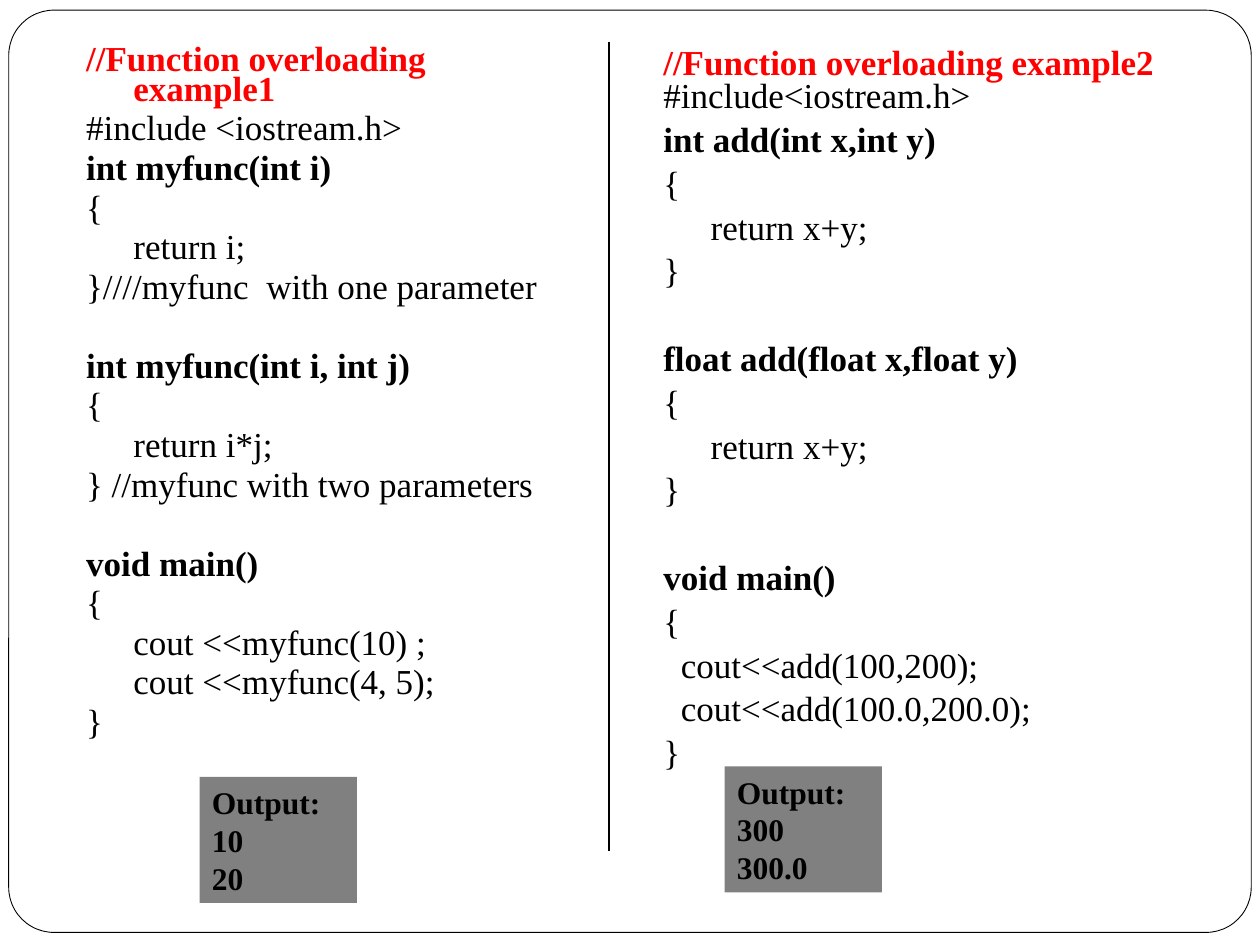
from dataclasses import dataclass

from lxml.etree import SubElement
from pptx import Presentation
from pptx.dml.color import RGBColor
from pptx.enum.shapes import MSO_CONNECTOR, MSO_SHAPE
from pptx.enum.text import MSO_ANCHOR, MSO_AUTO_SIZE, PP_ALIGN
from pptx.oxml.ns import qn
from pptx.util import Pt


@dataclass(frozen=True)
class Theme:
    font: str = "Times New Roman"
    code_size: int = 20
    output_size: int = 18
    black: RGBColor = RGBColor(0, 0, 0)
    red: RGBColor = RGBColor(255, 0, 0)
    gray: RGBColor = RGBColor(128, 128, 128)


theme = Theme()
SIGNATURES = ("int ", "float ", "void ")


def format_font(font, size, color, bold):
    font.name = theme.font
    font.size = Pt(size)
    font.color.rgb = color
    font.bold = bold


def write_code(text_frame, blocks, line_spacing, block_gap, include_gap):
    """Write a red heading and blocks of code, with a wider gap between blocks."""
    text_frame.word_wrap = True
    text_frame.auto_size = MSO_AUTO_SIZE.NONE
    text_frame.vertical_anchor = MSO_ANCHOR.TOP
    for block_index, block in enumerate(blocks):
        for line_index, line in enumerate(block):
            is_heading = block_index == 0 and line_index == 0
            paragraph = text_frame.paragraphs[0] if is_heading else text_frame.add_paragraph()
            paragraph.text = line

            # Hanging indent, which is also the stop for tabbed code
            properties = paragraph._p.get_or_add_pPr()
            properties.set("marL", str(Pt(27)))
            properties.set("indent", str(-Pt(27)))
            SubElement(properties, qn("a:buNone"))

            paragraph.alignment = PP_ALIGN.LEFT
            paragraph.line_spacing = line_spacing
            if is_heading:
                gap = 0
            elif line_index == 0:
                gap = block_gap
            elif block_index == 0 and line_index == 1:
                gap = include_gap
            else:
                gap = 5.8
            paragraph.space_before = Pt(gap)
            color = theme.red if is_heading else theme.black
            bold = is_heading or line.startswith(SIGNATURES)
            for run in paragraph.runs:
                format_font(run.font, theme.code_size, color, bold)


presentation = Presentation()
presentation.slide_width = Pt(720)
presentation.slide_height = Pt(540)
slide = presentation.slides.add_slide(presentation.slide_layouts.get_by_name("Title and Content"))
shapes = slide.shapes
title = shapes.title.element
title.getparent().remove(title)

# Rounded frame
frame = shapes.add_shape(MSO_SHAPE.ROUNDED_RECTANGLE, Pt(5), Pt(5.8), Pt(710), Pt(527))
frame.adjustments[0] = 0.049
frame.shadow.inherit = False
frame.fill.background()
frame.line.color.rgb = theme.black
frame.line.width = Pt(0.5)

# Left example
left_code = slide.placeholders[1]
left_code.left, left_code.top = Pt(42), Pt(24)
left_code.width, left_code.height = Pt(294), Pt(432)
left_blocks = [
    ["//Function overloading example1", "#include <iostream.h>", "int myfunc(int i)",
     "{", "\treturn i;", "}////myfunc  with one parameter"],
    ["int myfunc(int i, int j)", "{", "\treturn i*j;", "} //myfunc with two parameters"],
    ["void main()", "{", "\tcout <<myfunc(10) ;", "\tcout <<myfunc(4, 5);", "}"],
]
write_code(left_code.text_frame, left_blocks, 0.7, 28.4, 5.8)

# Right example
right_code = shapes.add_textbox(Pt(372), Pt(24), Pt(324), Pt(456))
right_blocks = [
    ["//Function overloading example2", "#include<iostream.h>", "int add(int x,int y)",
     "{", "\treturn x+y;", "}"],
    ["float add(float x,float y)", "{", "\treturn x+y;", "}"],
    ["void main()", "{", "  cout<<add(100,200);", "  cout<<add(100.0,200.0);", "}"],
]
write_code(right_code.text_frame, right_blocks, 0.8, 30.8, 0)

# Divider
divider = shapes.add_connector(MSO_CONNECTOR.STRAIGHT, Pt(348), Pt(24), Pt(348), Pt(486))
divider.line.color.rgb = theme.black
divider.line.width = Pt(0.75)
SubElement(divider.element.spPr, qn("a:effectLst"))

# Program outputs
outputs = [(114, 444, ["10", "20"]), (414, 438, ["300", "300.0"])]
for left, top, values in outputs:
    box = shapes.add_shape(MSO_SHAPE.RECTANGLE, Pt(left), Pt(top), Pt(90), Pt(72))
    box.shadow.inherit = False
    box.fill.solid()
    box.fill.fore_color.rgb = theme.gray
    box.line.fill.background()
    box.text_frame.text = "\n".join(["Output:"] + values)
    box.text_frame.word_wrap = True
    box.text_frame.vertical_anchor = MSO_ANCHOR.TOP
    for paragraph in box.text_frame.paragraphs:
        paragraph.alignment = PP_ALIGN.LEFT
        for run in paragraph.runs:
            format_font(run.font, theme.output_size, theme.black, True)

presentation.save("out.pptx")
